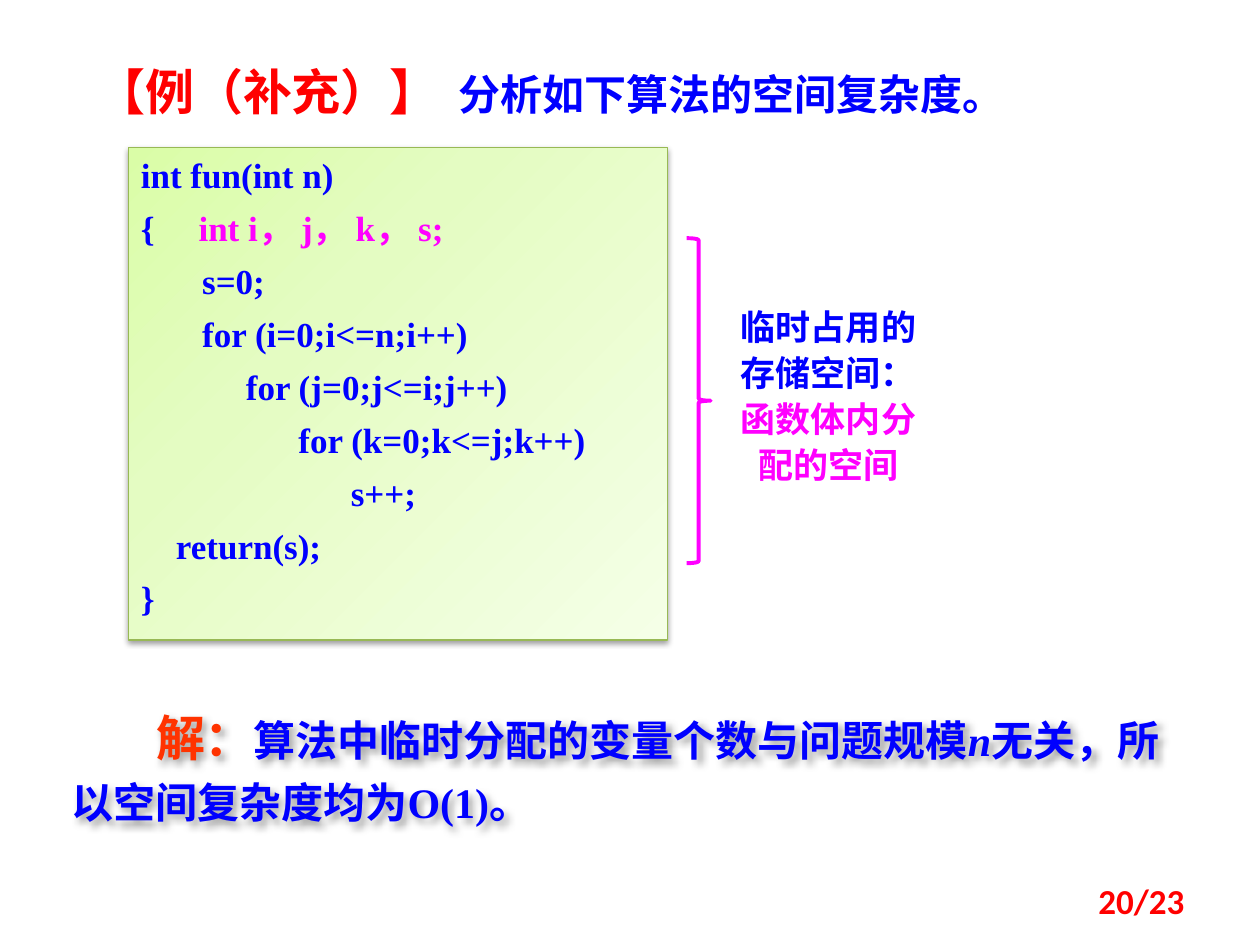
import copy

import pptx
import pptx.dml.color
import pptx.enum.shapes
import pptx.enum.text
import pptx.oxml
import pptx.oxml.ns
import pptx.util

ALIGN = pptx.enum.text.PP_ALIGN
ANCHOR = pptx.enum.text.MSO_ANCHOR
SHAPE = pptx.enum.shapes.MSO_SHAPE
SLIDE_WIDTH, SLIDE_HEIGHT = 10, 7.5
BLUE, RED, ORANGE, MAGENTA = "0000FF", "FF0000", "FF3300", "FF00FF"

# Content: each paragraph is a list of (text, format) runs
TITLE = [(" ", {}), ("【例（补充）】", {"size": 28, "color": RED}),
         ("\t分析如下算法的空间复杂度。", {})]
CODE = [
    [("int fun(int n)", {})],
    [("{     ", {}), ("int i， j， k， s;", {"color": MAGENTA})],
    [("       s=0;", {})],
    [("       for (i=0;i<=n;i++)", {})],
    [("            for (j=0;j<=i;j++)", {})],
    [("                  for (k=0;k<=j;k++)", {})],
    [("                        s++;", {})],
    [("    return(s);", {})],
    [("}", {})],
]
LABEL = [("临时占用的存储空间：", {}), ("函数体内分配的空间", {"color": MAGENTA})]
SOLUTION = [("解：", {"size": 28, "color": ORANGE}),
            ("算法中临时分配的变量个数与问题规模", {}), ("n", {"italic": True}),
            ("无关，所以空间复杂度均为O(1)。", {})]
PAGE = [("20/23", {"color": RED, "font": "Calibri"})]

# Left, top, width, height in percent of the slide
AREAS = {
    "title": (5.9, 5.87, 76.9, 7.6),
    "code": (10.2, 15.6, 42.8, 52.13),
    "brace": (54.5, 25.2, 1.9, 34.4),
    "label": (57.3, 31.2, 16.9, 21.07),
    "solution": (4.7, 72.93, 90.6, 15.33),
    "page": (71.7, 92.67, 23.3, 5.33),
}
GRADIENT = [(0, "DAFDA7"), (0.35, "E4FCC2"), (1, "F5FFE7")]


def rgb(color):
    return pptx.dml.color.RGBColor.from_string(color)


def area(name):
    sizes = (SLIDE_WIDTH, SLIDE_HEIGHT) * 2
    return [pptx.util.Inches(share * size / 100)
            for share, size in zip(AREAS[name], sizes)]


def write(shape, paragraphs, size=24, color=BLUE, font="Times New Roman",
          align=ALIGN.LEFT, anchor=ANCHOR.TOP, spacing=1.0, first_spacing=None,
          before=0, indent=0, tab=None):
    frame = shape.text_frame
    frame.word_wrap = True
    frame.vertical_anchor = anchor
    for index, runs in enumerate(paragraphs):
        paragraph = frame.paragraphs[0] if index == 0 else frame.add_paragraph()
        paragraph.alignment = align
        paragraph.line_spacing = spacing
        if index == 0 and first_spacing:
            paragraph.line_spacing = first_spacing
        if index and before:
            paragraph.space_before = pptx.util.Pt(before)
        properties = paragraph._p.get_or_add_pPr()
        if indent:
            properties.set("indent", str(pptx.util.Inches(indent)))
        if tab:
            properties.append(pptx.oxml.parse_xml(
                f'<a:tabLst {pptx.oxml.ns.nsdecls("a")}>'
                f'<a:tab pos="{pptx.util.Inches(tab)}" algn="l"/></a:tabLst>'))
        for text, style in runs:
            run = paragraph.add_run()
            run.text = text
            run.font.name = style.get("font", font)
            run.font.size = pptx.util.Pt(style.get("size", size))
            run.font.bold = True
            run.font.italic = style.get("italic", False)
            run.font.color.rgb = rgb(style.get("color", color))


def add_shadow(shape, blur, distance, direction):
    shape._element.spPr.append(pptx.oxml.parse_xml(
        f'<a:effectLst {pptx.oxml.ns.nsdecls("a")}>'
        f'<a:outerShdw blurRad="{pptx.util.Pt(blur)}" dist="{pptx.util.Pt(distance)}" '
        f'dir="{direction * 60000}" algn="t" rotWithShape="0">'
        '<a:srgbClr val="000000"><a:alpha val="38000"/></a:srgbClr>'
        '</a:outerShdw></a:effectLst>'))


def set_gradient(shape, stops):
    shape.fill.gradient()
    shape.fill.gradient_angle = 315
    stop_list = shape._element.spPr.find(".//" + pptx.oxml.ns.qn("a:gsLst"))
    while len(stop_list) < len(stops):
        stop_list.append(copy.deepcopy(stop_list[0]))
    for stop, (position, color) in zip(shape.fill.gradient_stops, stops):
        stop.position = position
        stop.color.rgb = rgb(color)


def set_line(shape, color, width):
    shape.line.color.rgb = rgb(color)
    shape.line.width = pptx.util.Pt(width)


def main():
    presentation = pptx.Presentation()
    presentation.slide_width = pptx.util.Inches(SLIDE_WIDTH)
    presentation.slide_height = pptx.util.Inches(SLIDE_HEIGHT)
    slide = presentation.slides.add_slide(presentation.slide_layouts[6])
    shapes = slide.shapes

    # Title and solution
    write(shapes.add_textbox(*area("title")), [TITLE], tab=2.95)
    solution = shapes.add_textbox(*area("solution"))
    add_shadow(solution, 4, 3, 45)
    write(solution, [SOLUTION], spacing=1.2, indent=0.67)

    # Code panel
    code = shapes.add_shape(SHAPE.RECTANGLE, *area("code"))
    set_gradient(code, GRADIENT)
    set_line(code, "98B955", 0.75)
    add_shadow(code, 3.1, 1.6, 90)
    write(code, CODE, size=20, align=ALIGN.JUSTIFY, spacing=0.8,
          first_spacing=1.0, before=11)

    # Brace with its label
    group = shapes.add_group_shape()
    brace = group.shapes.add_shape(SHAPE.RIGHT_BRACE, *area("brace"))
    brace.shadow.inherit = False
    brace.fill.background()
    set_line(brace, MAGENTA, 2.25)
    write(group.shapes.add_textbox(*area("label")), [LABEL], size=20,
          align=ALIGN.CENTER, spacing=1.1)

    # Page number
    write(shapes.add_textbox(*area("page")), [PAGE], size=20,
          align=ALIGN.RIGHT, anchor=ANCHOR.MIDDLE)

    presentation.save("out.pptx")


if __name__ == "__main__":
    main()
